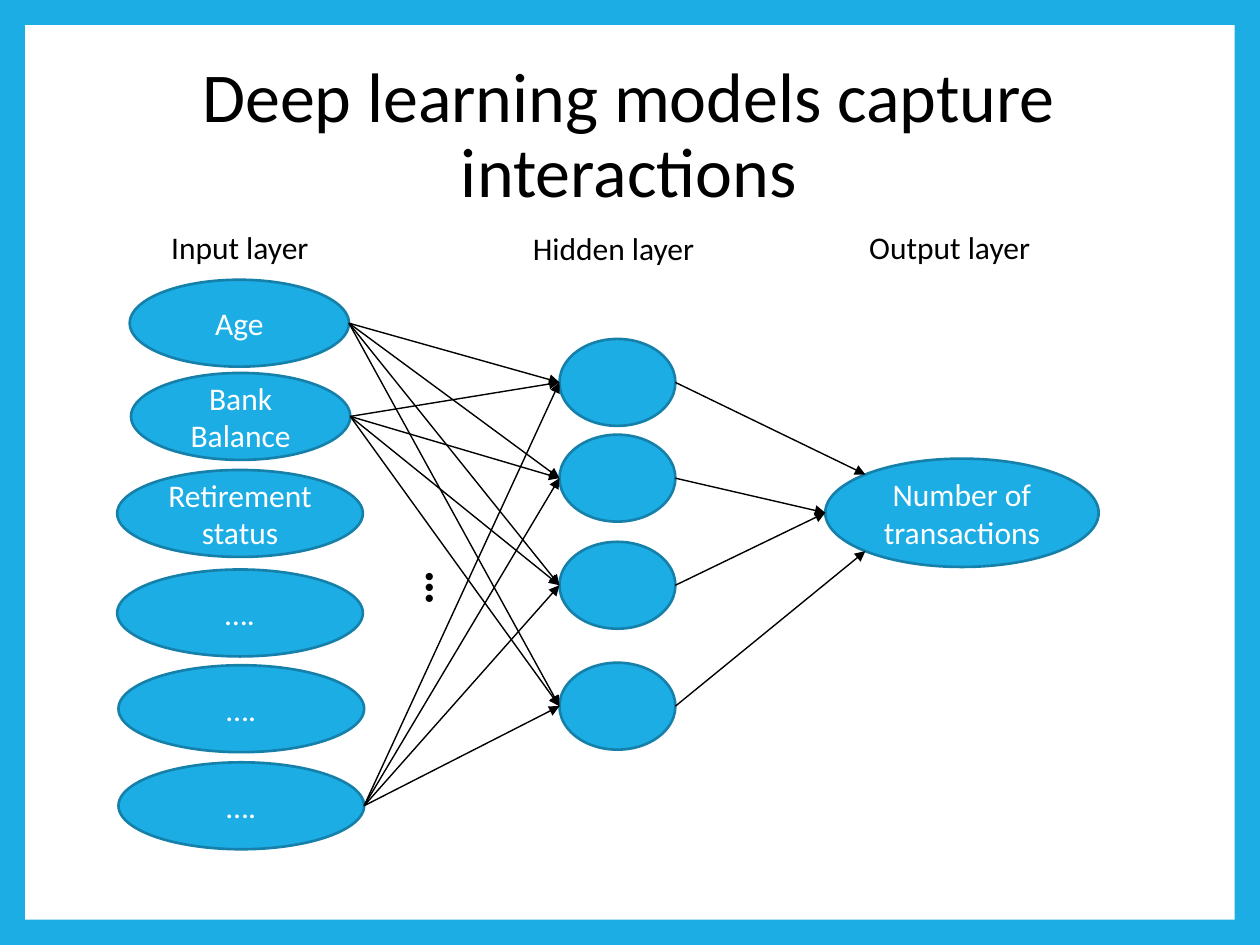
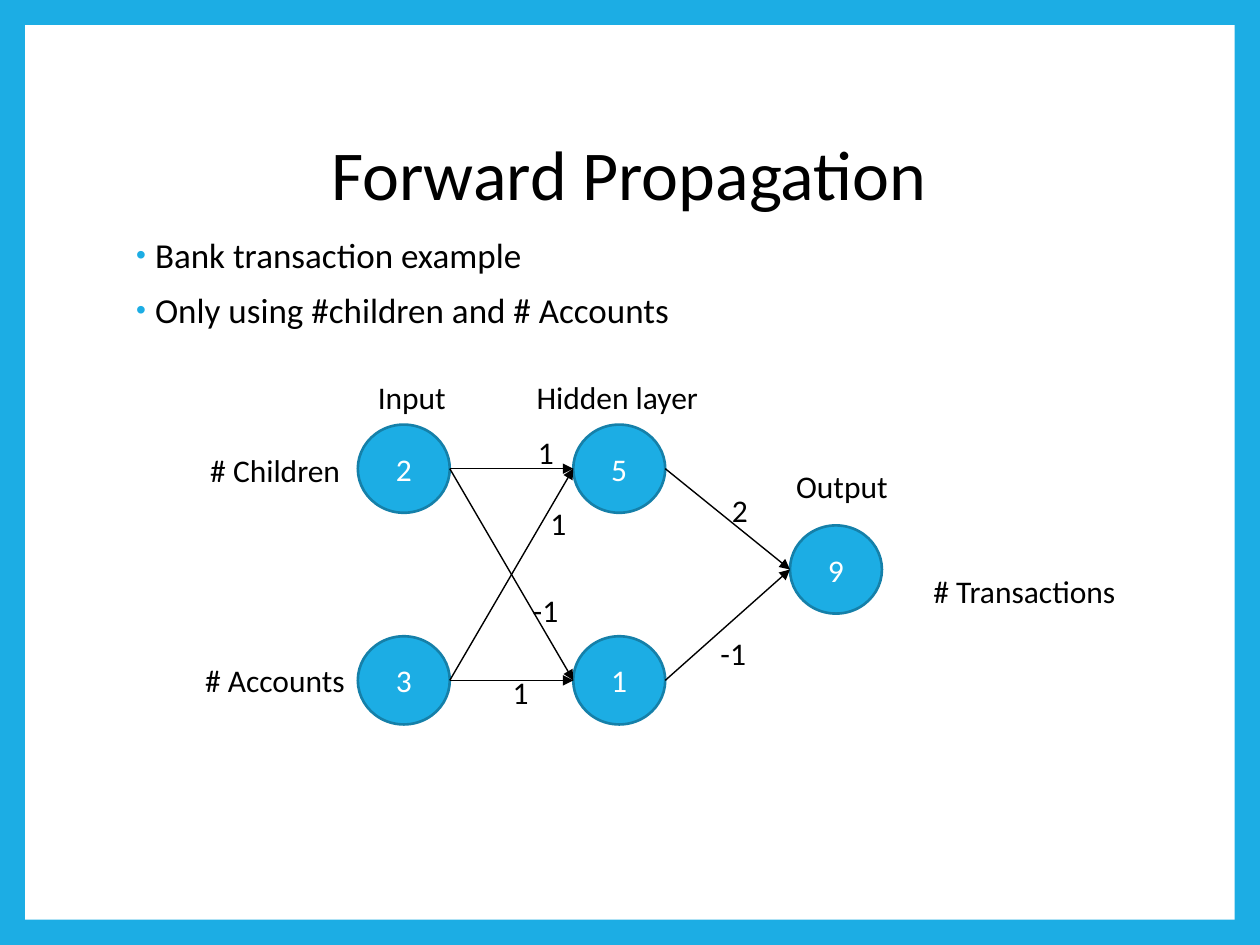
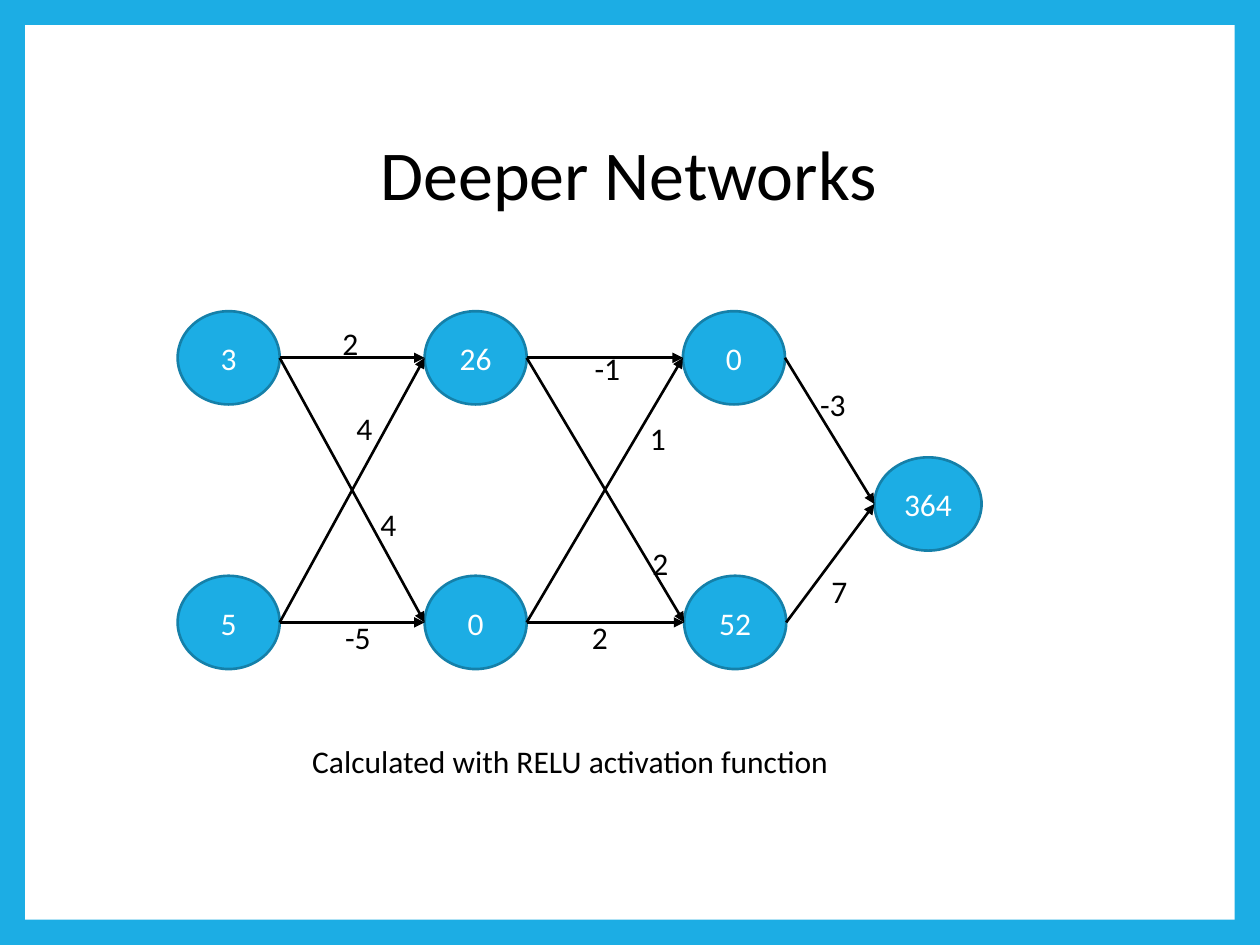
from itertools import product
from math import cos, pi, sin

from lxml.etree import SubElement
from pptx import Presentation
from pptx.dml.color import RGBColor
from pptx.enum.shapes import MSO_CONNECTOR as LINK, MSO_SHAPE as KIND
from pptx.enum.text import MSO_ANCHOR as ANCHOR, MSO_AUTO_SIZE as FIT, PP_ALIGN as ALIGN
from pptx.oxml.ns import qn
from pptx.util import Inches, Pt

BLUE = RGBColor(0x1C, 0xAD, 0xE4)
EDGE = RGBColor(0x15, 0x80, 0xA9)
WHITE = RGBColor(0xFF, 0xFF, 0xFF)
BLACK = RGBColor(0, 0, 0)

HEAD = {"word_wrap": True, "auto_size": FIT.NONE, "vertical_anchor": ANCHOR.MIDDLE}
LIST = {"word_wrap": True, "auto_size": FIT.NONE, "vertical_anchor": ANCHOR.TOP}
NODE = {"word_wrap": True, "vertical_anchor": ANCHOR.MIDDLE}
LABEL = {"word_wrap": False, "auto_size": FIT.SHAPE_TO_FIT_TEXT}


def write(frame, lines, look, align, size=18, color=BLACK, bold=False):
    for name, value in look.items():
        setattr(frame, name, value)
    frame.text = "\n".join(lines)
    for para in frame.paragraphs:
        para.alignment = align
        font = para.font
        for name, value in {"name": "Calibri", "size": Pt(size), "bold": bold}.items():
            setattr(font, name, value)
        font.color.rgb = color


def place(shape, *box):
    for name, value in zip(("left", "top", "width", "height"), box):
        setattr(shape, name, Inches(value))


DECK = [
    {
        "title": "Deep learning models capture interactions",
        "top": 0.35,
        "line": 0.79,
        "cols": [
            (0.69, [
                ("Age", 1.03, 2.22, 1.74),
                ("Bank Balance", 1.04, 2.96, 1.74),
                ("Retirement status", 0.93, 3.73, 1.95),
                ("….", 0.93, 4.52, 1.95),
                ("….", 0.94, 5.28, 1.95),
                ("….", 0.94, 6.05, 1.95),
            ]),
            (0.69, [("", 4.44, y, 0.92) for y in (2.69, 3.45, 4.3, 5.26)]),
            (0.86, [("Number of transactions", 6.55, 3.64, 2.17)]),
        ],
        "bare": (2, 3, 4),
        "sides": (-1, 0, 0, 1),
        "labels": [
            ("Input layer", 1.26, 1.76, 1.31),
            ("Hidden layer", 4.13, 1.77, 1.52),
            ("Output layer", 6.8, 1.76, 1.52),
        ],
    },
    {
        "title": "Forward Propagation",
        "top": 0.67,
        "line": 0.79,
        "list": ["Bank transaction example", "Only using #children and # Accounts"],
        "cols": [
            (0.7, [("2", 2.84, 3.37, 0.73), ("3", 2.84, 5.05, 0.73)]),
            (0.7, [("5", 4.55, 3.37, 0.73), ("1", 4.55, 5.05, 0.73)]),
            (0.7, [("9", 6.27, 4.17, 0.73)]),
        ],
        "labels": [
            ("# Children", 1.57, 3.53, 1.29),
            ("# Accounts", 1.53, 5.2, 1.37),
            ("Input", 2.9, 2.95, 0.8),
            ("Hidden layer", 4.16, 2.95, 1.52),
            ("Output", 6.22, 3.66, 1.09),
            ("# Transactions", 7.31, 4.49, 1.72),
            ("1", 4.17, 3.39, 0.32),
            ("1", 4.27, 3.95, 0.32),
            ("-1", 4.13, 4.64, 0.4),
            ("1", 3.97, 5.29, 0.32),
            ("2", 5.71, 3.85, 0.33),
            ("-1", 5.62, 4.98, 0.4),
        ],
    },
    {
        "title": "Deeper Networks",
        "top": 0.67,
        "line": 1.5,
        "cols": [
            (0.74, [("3", 1.41, 2.47, 0.81), ("5", 1.41, 4.57, 0.81)]),
            (0.74, [("26", 3.37, 2.47, 0.81), ("0", 3.37, 4.57, 0.81)]),
            (0.74, [("0", 5.42, 2.47, 0.81), ("52", 5.43, 4.57, 0.81)]),
            (0.74, [("364", 6.94, 3.63, 0.85)]),
        ],
        "labels": [
            ("2", 2.62, 2.52, 0.33),
            ("4", 2.73, 3.2, 0.33),
            ("4", 2.92, 3.96, 0.33),
            ("-5", 2.64, 4.86, 0.41),
            ("-1", 4.62, 2.72, 0.41),
            ("1", 5.06, 3.28, 0.33),
            ("2", 5.08, 4.27, 0.33),
            ("2", 4.6, 4.86, 0.33),
            ("-3", 6.41, 3.01, 0.41),
            ("7", 6.5, 4.49, 0.33),
            ("Calculated with RELU activation function", 2.38, 5.84, 4.47),
        ],
    },
]

prs = Presentation()
prs.slide_width = Inches(10)
prs.slide_height = Inches(7.5)
master = prs.slide_master
master.background.fill.solid()
master.background.fill.fore_color.rgb = BLUE

for data in DECK:
    slide = prs.slides.add_slide(prs.slide_layouts[1 if "list" in data else 5])
    shapes = slide.shapes

    if data is DECK[0]:
        panel = shapes.add_shape(KIND.RECTANGLE, Inches(0.2), Inches(0.2), Inches(9.6), Inches(7.1))
        panel.shadow.inherit = False
        panel.fill.solid()
        panel.fill.fore_color.rgb = WHITE
        panel.line.fill.background()
        panel.element.nvSpPr.cNvPr.set("id", "20")
        master.shapes.element.insert(2, panel.element)

    title = shapes.title
    place(title, 0.94, data["top"], 8.1, 1.48)
    write(title.text_frame, [data["title"]], HEAD, ALIGN.CENTER, 40)
    title.text_frame.paragraphs[0].line_spacing = 0.9

    if "list" in data:
        body = slide.placeholders[1]
        place(body, 0.94, 1.84, 8.1, 0.94)
        write(body.text_frame, data["list"], LIST, ALIGN.LEFT, 20)
        for para in body.text_frame.paragraphs:
            para.line_spacing = 0.9
            para.space_before = Pt(10)
            props = para.font._element.getparent()
            props.set("marL", str(Inches(0.19)))
            props.set("indent", str(Inches(-0.15)))
            mark = [
                SubElement(SubElement(props, qn("a:buClr")), qn("a:srgbClr"), val=str(BLUE)),
                SubElement(props, qn("a:buSzPct"), val="80000"),
                SubElement(props, qn("a:buFont"), typeface="Arial"),
                SubElement(props, qn("a:buChar"), char="•"),
            ]
            props.append(props.find(qn("a:defRPr")))

    for high, nodes in data["cols"]:
        for text, x, y, wide in nodes:
            oval = shapes.add_shape(KIND.OVAL, Inches(x), Inches(y), Inches(wide), Inches(high))
            oval.shadow.inherit = False
            oval.fill.solid()
            oval.fill.fore_color.rgb = BLUE
            oval.line.color.rgb = EDGE
            oval.line.width = Pt(1.5)
            if text:
                write(oval.text_frame, [text], NODE, ALIGN.CENTER, color=WHITE)

    cols = data["cols"]
    for step, ((high, starts), (tall, ends)) in enumerate(zip(cols, cols[1:])):
        for (row, start), end in product(enumerate(starts), ends):
            if step == 0 and row in data.get("bare", ()):
                continue
            side = data["sides"][row] if "sides" in data and len(ends) == 1 else 0
            turn = side * pi / 4
            x = end[1] + end[3] / 2 * (1 - cos(turn))
            y = end[2] + tall / 2 * (1 + sin(turn))
            arrow = shapes.add_connector(
                LINK.STRAIGHT, Inches(start[1] + start[3]), Inches(start[2] + high / 2),
                Inches(x), Inches(y))
            arrow.line.color.rgb = BLACK
            arrow.line.width = Pt(data["line"])
            props = arrow.element.spPr
            SubElement(props.find(qn("a:ln")), qn("a:tailEnd"), type="triangle")
            SubElement(props, qn("a:effectLst"))

    for text, x, y, wide in data["labels"]:
        label = shapes.add_textbox(Inches(x), Inches(y), Inches(wide), Inches(0.4))
        write(label.text_frame, [text], LABEL, ALIGN.LEFT)

    if data is DECK[0]:
        dots = shapes.add_textbox(Inches(3.26), Inches(4.42), Inches(0.55), Inches(0.57))
        dots.rotation = 90
        write(dots.text_frame, ["…"], LABEL, ALIGN.LEFT, 28, bold=True)

prs.save("out.pptx")
